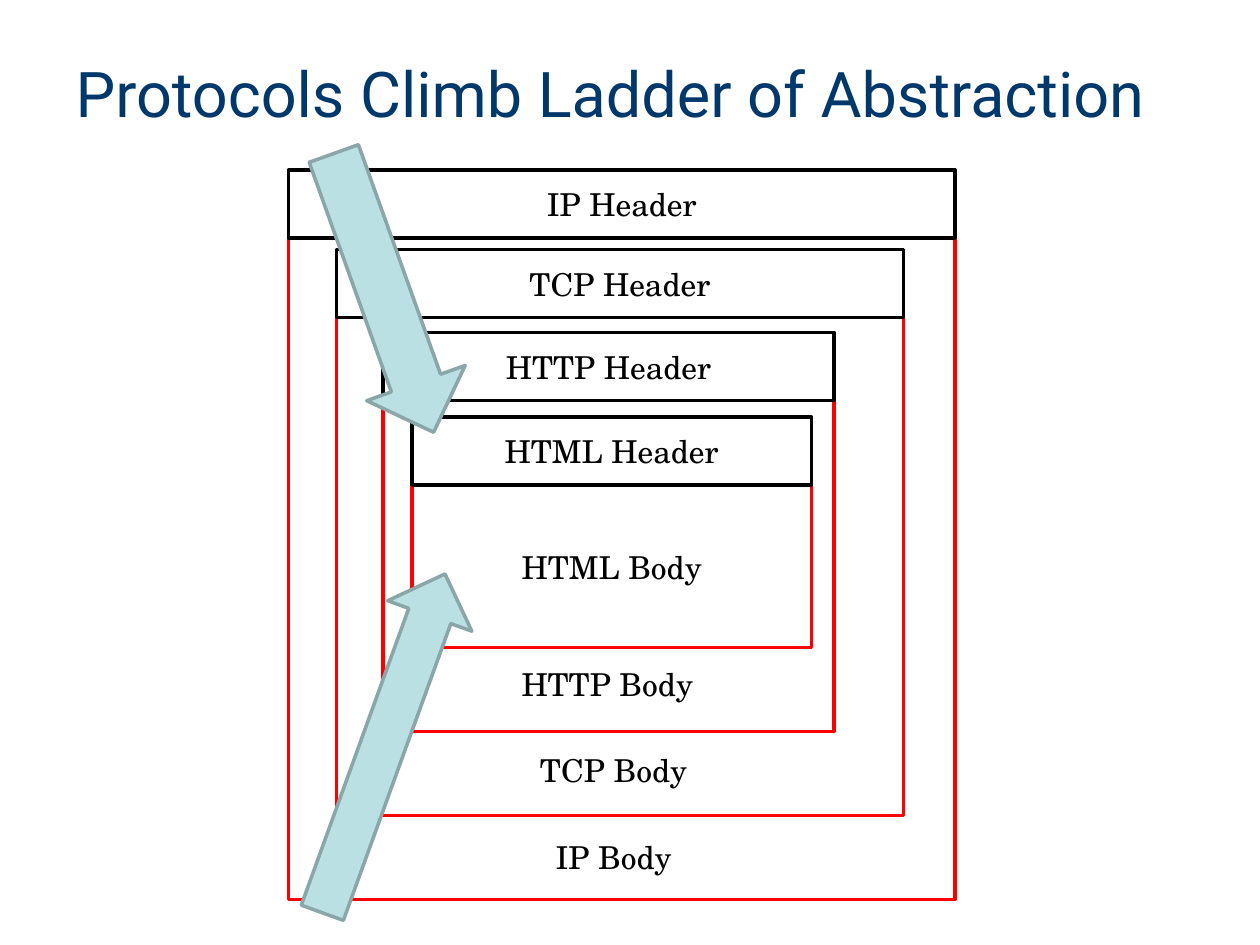
from dataclasses import dataclass

from pptx import Presentation
from pptx import util as u
from pptx.dml.color import RGBColor
from pptx.enum import shapes, text

NAVY = RGBColor(0x00, 0x38, 0x6B)
BLACK = RGBColor(0x00, 0x00, 0x00)
RED = RGBColor(0xFF, 0x00, 0x00)
AQUA = RGBColor(0xBB, 0xE0, 0xE3)
SLATE = RGBColor(0x8A, 0xA6, 0xA8)

TITLE_FONT = {"name": "Roboto", "size": u.Pt(36)}
LABEL_FONT = {"name": "TeX Gyre Schola", "size": u.Pt(18)}
HEADER_HEIGHT = 0.54
INNERMOST_BOTTOM, BOTTOM_STEP = 5.14, 0.667
LABEL_TOP, LABEL_STEP = 5.23, 0.685
LABEL_WIDTH, LABEL_HEIGHT = 3.58, 0.4


@dataclass
class Layer:
    """One protocol, with its header position and the top of its body."""
    protocol: str
    left: float
    width: float
    header_top: float
    body_top: float
    label_left: float = 0


LAYERS = [
    Layer("IP", 2.29, 5.29, 1.35, 1.89, 3.08),
    Layer("TCP", 2.67, 4.5, 1.98, 1.98, 3.08),
    Layer("HTTP", 3.04, 3.58, 2.64, 2.64, 3.03),
    Layer("HTML", 3.27, 3.17, 3.31, 3.85),
]


def inches(*lengths):
    """Convert lengths to slide units."""
    return [u.Inches(length) for length in lengths]


def write(frame, words, font, color, align, anchor):
    """Fill a text frame with one formatted paragraph."""
    frame.text = words
    frame.vertical_anchor = anchor
    paragraph = frame.paragraphs[0]
    paragraph.alignment = align
    for attribute, value in font.items():
        setattr(paragraph.runs[0].font, attribute, value)
    paragraph.runs[0].font.color.rgb = color


def add_outlined(slide, kind, box, line, fill=None):
    """Add a flat preset shape with a two-point outline."""
    outlined = slide.shapes.add_shape(kind, *inches(*box))
    outlined.shadow.inherit = False
    outlined.line.color.rgb = line
    outlined.line.width = u.Pt(2)
    if fill is None:
        outlined.fill.background()
    else:
        outlined.fill.solid()
        outlined.fill.fore_color.rgb = fill
    return outlined


def add_block(slide, box, line, words=None):
    """Add a rectangle of a packet, with a centred name if given."""
    block = add_outlined(slide, shapes.MSO_SHAPE.RECTANGLE, box, line)
    if words:
        write(block.text_frame, words, LABEL_FONT, BLACK,
              text.PP_ALIGN.CENTER, text.MSO_ANCHOR.MIDDLE)


def add_label(slide, left, top, words):
    """Add a body name below the blocks it encloses."""
    label = slide.shapes.add_textbox(*inches(left, top, LABEL_WIDTH, LABEL_HEIGHT))
    label.text_frame.word_wrap = True
    label.text_frame.auto_size = text.MSO_AUTO_SIZE.SHAPE_TO_FIT_TEXT
    write(label.text_frame, words, LABEL_FONT, BLACK,
          text.PP_ALIGN.CENTER, text.MSO_ANCHOR.TOP)


def add_arrow(slide, box, rotation):
    """Add a block arrow turned clockwise from upright."""
    arrow = add_outlined(slide, shapes.MSO_SHAPE.UP_ARROW, box, SLATE, AQUA)
    arrow.rotation = rotation


def set_title(slide, words):
    """Place and format the title placeholder."""
    title = slide.shapes.title
    title.left, title.top, title.width, title.height = inches(0.5, 0.29, 9.32, 0.88)
    write(title.text_frame, words, TITLE_FONT, NAVY,
          text.PP_ALIGN.LEFT, text.MSO_ANCHOR.MIDDLE)


def add_packets(slide):
    """Draw the nested bodies, then their headers and names."""
    innermost = LAYERS[-1]
    for depth, layer in enumerate(reversed(LAYERS)):
        bottom = INNERMOST_BOTTOM + depth * BOTTOM_STEP
        words = f"{layer.protocol} Body" if layer is innermost else None
        add_block(slide, (layer.left, layer.body_top, layer.width,
                          bottom - layer.body_top), RED, words)
    for layer in LAYERS:
        add_block(slide, (layer.left, layer.header_top, layer.width, HEADER_HEIGHT),
                  BLACK, f"{layer.protocol} Header")
    for row, layer in enumerate(reversed(LAYERS[:-1])):
        add_label(slide, layer.label_left, LABEL_TOP + row * LABEL_STEP,
                  f"{layer.protocol} Body")


def main():
    """Build the slide and save it."""
    deck = Presentation()
    deck.slide_width, deck.slide_height = inches(10, 7.5)
    slide = deck.slides.add_slide(deck.slide_layouts[5])
    set_title(slide, "Protocols Climb Ladder of Abstraction")
    add_packets(slide)
    add_arrow(slide, (2.69, 4.47, 0.71, 2.86), 19.9)
    add_arrow(slide, (2.63, 1.15, 0.83, 2.35), 160.3)
    deck.save("out.pptx")


if __name__ == "__main__":
    main()
